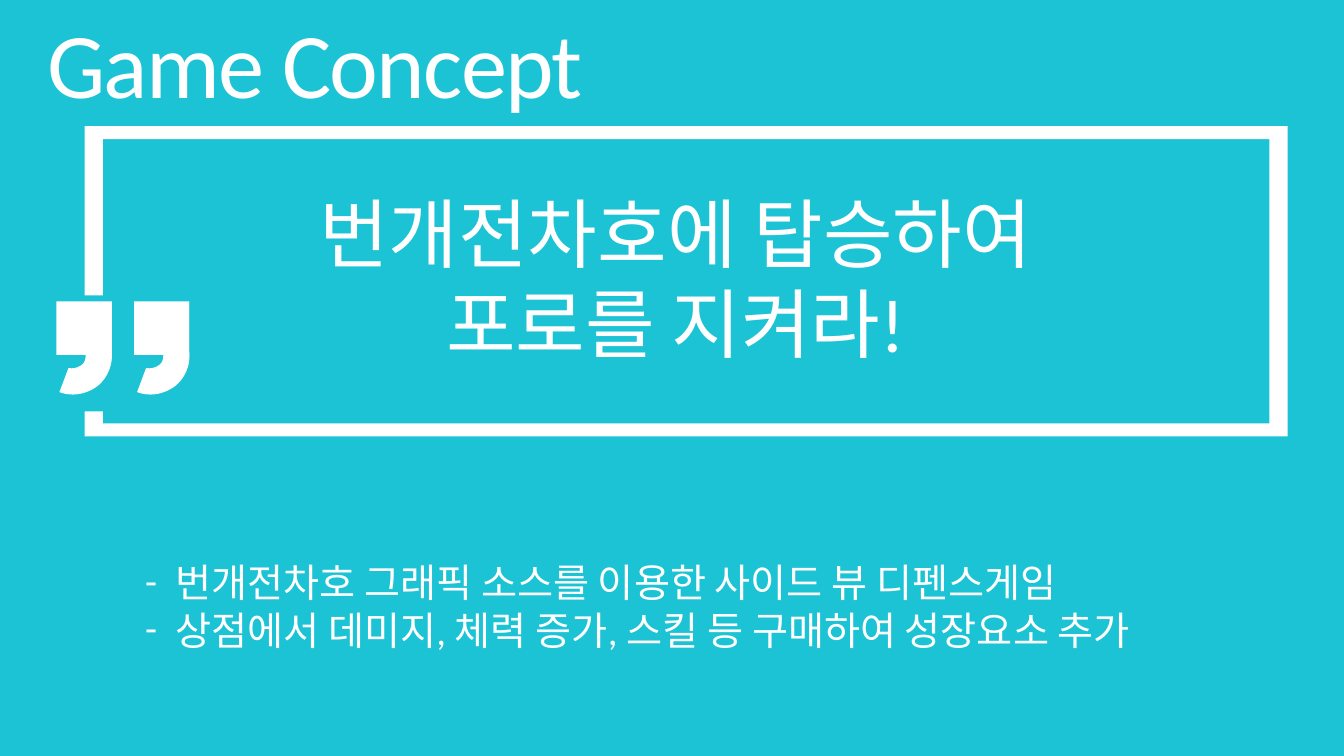
from dataclasses import dataclass

from lxml.etree import SubElement
from pptx import Presentation
from pptx.dml.color import RGBColor
from pptx.enum.shapes import MSO_SHAPE
from pptx.enum.text import MSO_ANCHOR, MSO_AUTO_SIZE, PP_ALIGN
from pptx.oxml.ns import qn
from pptx.util import Inches, Pt

Point = tuple[float, float]


@dataclass(frozen=True)
class Theme:
    background: RGBColor = RGBColor(0x1B, 0xC3, 0xD5)
    ink: RGBColor = RGBColor(0xFF, 0xFF, 0xFF)
    font: str = "Calibri"
    title_size: int = 66
    slogan_size: int = 54
    list_size: int = 28


@dataclass(frozen=True)
class Box:
    left: float
    top: float
    width: float
    height: float


@dataclass(frozen=True)
class Curve:
    """Cubic Bezier segment, from the current point to end."""
    control1: Point
    control2: Point
    end: Point

    def points(self, start: Point, steps: int = 12) -> list[Point]:
        anchors = (start, self.control1, self.control2, self.end)
        result = []
        for step in range(1, steps + 1):
            t = step / steps
            weights = ((1 - t) ** 3, 3 * t * (1 - t) ** 2, 3 * t * t * (1 - t), t ** 3)
            result.append((sum(w * p[0] for w, p in zip(weights, anchors)),
                           sum(w * p[1] for w, p in zip(weights, anchors))))
        return result


THEME = Theme()
TITLE_BOX = Box(0.37, 0.16, 5.65, 1.1)
SLOGAN_BOX = Box(1.88, 1.57, 9.64, 3.26)
LIST_BOX = Box(1.34, 5.13, 10.73, 1.76)

SLOGAN = ["번개전차호에 탑승하여", "포로를 지켜라!"]
FEATURES = [
    "번개전차호 그래픽 소스를 이용한 사이드 뷰 디펜스게임",
    "상점에서 데미지, 체력 증가, 스킬 등 구매하여 성장요소 추가",
]

FRAME = [(0.84, 1.25), (12.77, 1.25), (12.77, 4.33), (0.84, 4.33), (0.84, 4.08), (1.02, 4.08),
         (1.02, 4.2), (12.59, 4.2), (12.59, 1.38), (1.02, 1.38), (1.02, 2.93), (0.84, 2.93)]
QUOTE_MARK = [
    (0.56, 2.99), (1.11, 2.99), (1.11, 3.49),
    Curve((1.12, 3.62), (1.07, 3.74), (0.98, 3.82)),
    Curve((0.87, 3.91), (0.72, 3.94), (0.59, 3.89)),
    (0.68, 3.65),
    Curve((0.72, 3.66), (0.77, 3.65), (0.81, 3.62)),
    Curve((0.84, 3.6), (0.85, 3.56), (0.85, 3.53)),
    (0.85, 3.52), (0.56, 3.52),
]
QUOTE_OFFSETS = (0, 0.77)


def place(sp, box: Box) -> None:
    sp.left, sp.top = Inches(box.left), Inches(box.top)
    sp.width, sp.height = Inches(box.width), Inches(box.height)


def paint(sp, color: RGBColor) -> None:
    sp.fill.solid()
    sp.fill.fore_color.rgb = color
    sp.line.fill.background()


def write(sp, lines: list[str], size: int, align: PP_ALIGN) -> None:
    tf = sp.text_frame
    tf.text = "\n".join(lines)
    tf.word_wrap = True
    tf.auto_size = MSO_AUTO_SIZE.NONE
    tf.vertical_anchor = MSO_ANCHOR.MIDDLE
    for p in tf.paragraphs:
        p.alignment = align
        p.space_before = Pt(0)
        for r in p.runs:
            r.font.name = THEME.font
            r.font.size = Pt(size)
            r.font.color.rgb = THEME.ink


def draw_outline(shapes, outline: list[Point | Curve], dx: float = 0) -> None:
    """Draw a closed white outline, shifted dx inches to the right."""
    points: list[Point] = []
    for part in outline:
        points += part.points(points[-1]) if isinstance(part, Curve) else [part]
    corners = [(Inches(x + dx), Inches(y)) for x, y in points]
    builder = shapes.build_freeform(*corners[0], scale=1.0)
    builder.add_line_segments(corners[1:], close=True)
    sp = builder.convert_to_shape()
    sp.shadow.inherit = False
    paint(sp, THEME.ink)


def add_title(s) -> None:
    title = s.shapes.title
    place(title, TITLE_BOX)
    write(title, ["Game Concept"], THEME.title_size, PP_ALIGN.LEFT)
    p = title.text_frame.paragraphs[0]
    p.line_spacing = 0.8
    p.runs[0].font._element.set("spc", "-120")


def add_slogan(s) -> None:
    sp = s.shapes.add_shape(MSO_SHAPE.RECTANGLE, 0, 0, 0, 0)
    place(sp, SLOGAN_BOX)
    sp.shadow.inherit = False
    paint(sp, THEME.background)
    write(sp, SLOGAN, THEME.slogan_size, PP_ALIGN.CENTER)
    sp.text_frame.margin_bottom = Inches(0.95)


def add_features(s) -> None:
    body = s.placeholders[1]
    place(body, LIST_BOX)
    paint(body, THEME.background)
    write(body, FEATURES, THEME.list_size, PP_ALIGN.LEFT)
    indent = Inches(0.3)
    for p in body.text_frame.paragraphs:
        pPr = p._p.get_or_add_pPr()
        pPr.set("marL", str(indent))
        pPr.set("indent", str(-indent))
        SubElement(pPr, qn("a:buFont")).set("typeface", THEME.font)
        SubElement(pPr, qn("a:buChar")).set("char", "-")


def main() -> None:
    prs = Presentation()
    prs.slide_width, prs.slide_height = Inches(13.33), Inches(7.5)
    s = prs.slides.add_slide(prs.slide_layouts[1])
    s.background.fill.solid()
    s.background.fill.fore_color.rgb = THEME.background

    add_title(s)
    quote = s.shapes.add_group_shape()
    for dx in QUOTE_OFFSETS:
        draw_outline(quote.shapes, QUOTE_MARK, dx)
    add_slogan(s)
    draw_outline(s.shapes, FRAME)
    add_features(s)
    prs.save("out.pptx")


if __name__ == "__main__":
    main()
